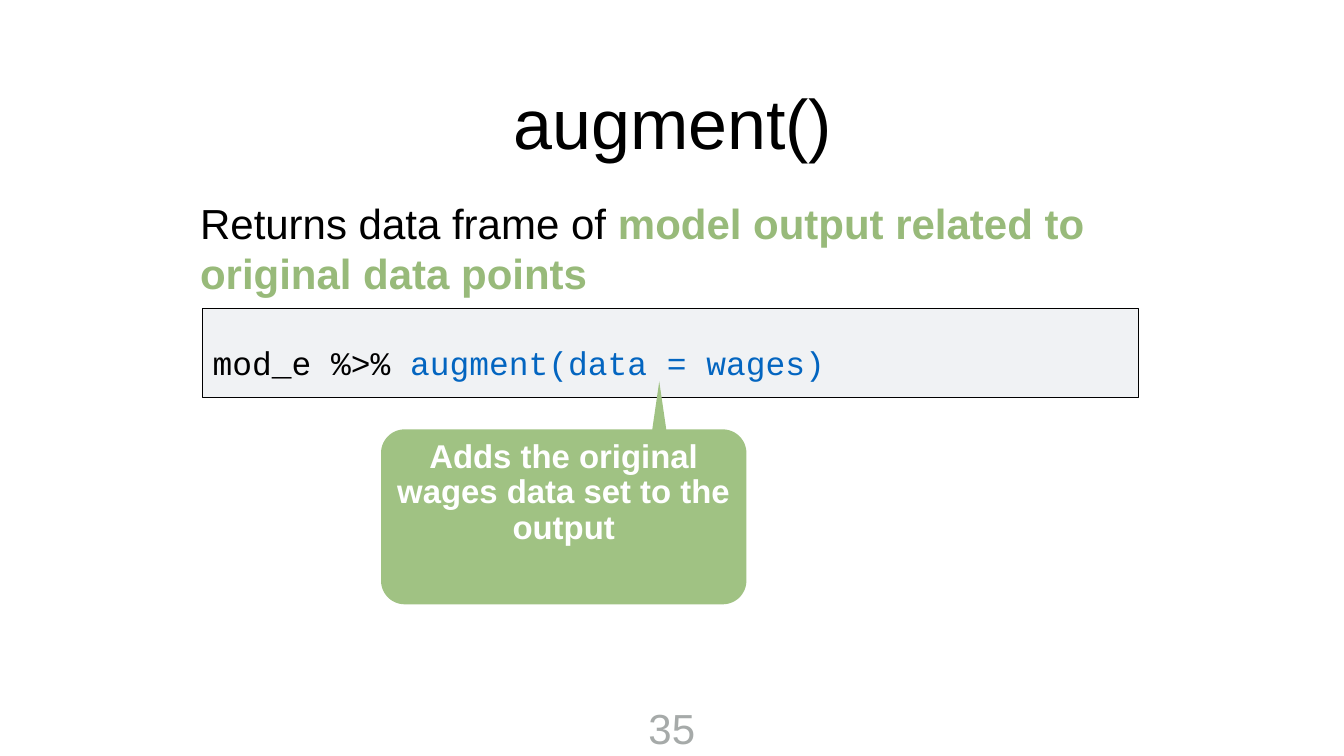
from math import cos, radians, sin

from pptx import Presentation
from pptx.dml.color import RGBColor
from pptx.enum.shapes import MSO_SHAPE
from pptx.enum.text import MSO_ANCHOR, MSO_AUTO_SIZE, PP_ALIGN
from pptx.util import Pt

RECT = MSO_SHAPE.RECTANGLE
TOP, MIDDLE = MSO_ANCHOR.TOP, MSO_ANCHOR.MIDDLE
LEFT, CENTER = PP_ALIGN.LEFT, PP_ALIGN.CENTER
GROW = MSO_AUTO_SIZE.SHAPE_TO_FIT_TEXT

COLORS = {
    "black": "000000",
    "white": "FFFFFF",
    "panel": "F0F2F4",
    "blue": "0365C0",
    "green": "98BA7A",
    "bubble": "A0C283",
    "gray": "A6AAA9",
}


def color(name):
    return RGBColor.from_string(COLORS[name])


def write(shape, runs, size, font="Arial", align=LEFT, anchor=TOP,
          inset=4.32, drop=0, bold=False, wrap=True, line=None):
    frame = shape.text_frame
    frame.word_wrap = wrap
    frame.vertical_anchor = anchor
    frame.margin_left = frame.margin_right = frame.margin_bottom = Pt(inset)
    frame.margin_top = Pt(inset + drop)
    para = frame.paragraphs[0]
    para.alignment = align
    if line:
        para.line_spacing = line
    for text, tint, *strong in runs:
        run = para.add_run()
        run.text = text
        run.font.name = font
        run.font.size = Pt(size)
        run.font.bold = bold or bool(strong)
        run.font.color.rgb = color(tint)


def add_text(slide, box, runs, size, **style):
    shape = slide.shapes.add_textbox(*map(Pt, box))
    write(shape, runs, size, **style)
    return shape


def add_panel(slide, box):
    panel = slide.shapes.add_shape(RECT, *map(Pt, box))
    panel.shadow.inherit = False
    panel.fill.solid()
    panel.fill.fore_color.rgb = color("panel")
    panel.line.color.rgb = color("black")
    panel.line.width = Pt(1)


def add_bubble(slide, box, tip, half, radius):
    left, top, width, height = box
    right, bottom = left + width, top + height
    tip_x, tip_y = tip
    corners = [
        (left + radius, top + radius, 270),
        (left + radius, bottom - radius, 180),
        (right - radius, bottom - radius, 90),
        (right - radius, top + radius, 0),
    ]
    points = [(tip_x - half, top)]
    for x, y, start in corners:
        for step in range(0, 91, 5):
            angle = radians(start - step)
            points.append((x + radius * cos(angle), y + radius * sin(angle)))
    points.append((tip_x + half, top))
    pen = slide.shapes.build_freeform(Pt(tip_x), Pt(tip_y))
    pen.add_line_segments([(Pt(x), Pt(y)) for x, y in points], close=True)
    bubble = pen.convert_to_shape()
    bubble.shadow.inherit = False
    bubble.fill.solid()
    bubble.fill.fore_color.rgb = color("bubble")
    bubble.line.fill.background()
    return bubble


def main():
    deck = Presentation()
    deck.slide_width, deck.slide_height = Pt(1920), Pt(1080)
    slide = deck.slides.add_slide(deck.slide_layouts[6])

    add_text(slide, (316.8, 79.2, 1288.8, 188.6), [("augment()", "black")],
             100, align=CENTER, anchor=MIDDLE)
    add_panel(slide, (288.7, 440.6, 1337, 127.4))
    add_text(slide, (299.5, 469.4, 1243.4, 82.8),
             [("mod_e %>% ", "black"), ("augment(data = wages)", "blue")],
             47, font="Courier New", drop=15)
    bubble = add_bubble(slide, (544.3, 613.4, 522, 249.9),
                        tip=(941.8, 545), half=10, radius=33.8)
    write(bubble, [("Adds the original wages data set to the output", "white")],
          47, align=CENTER, anchor=MIDDLE, inset=5.76, bold=True, line=0.9)
    add_text(slide, (281.5, 263.5, 1357.2, 180),
             [("Returns data frame of ", "black"),
              ("model output related to original data points", "green", True)],
             60, anchor=MIDDLE)
    page = add_text(slide, (920.2, 997.2, 79.2, 83.5), [("35", "gray")],
                    60, align=CENTER, inset=5.76, wrap=False)
    page.text_frame.auto_size = GROW

    deck.save("out.pptx")


if __name__ == "__main__":
    main()
